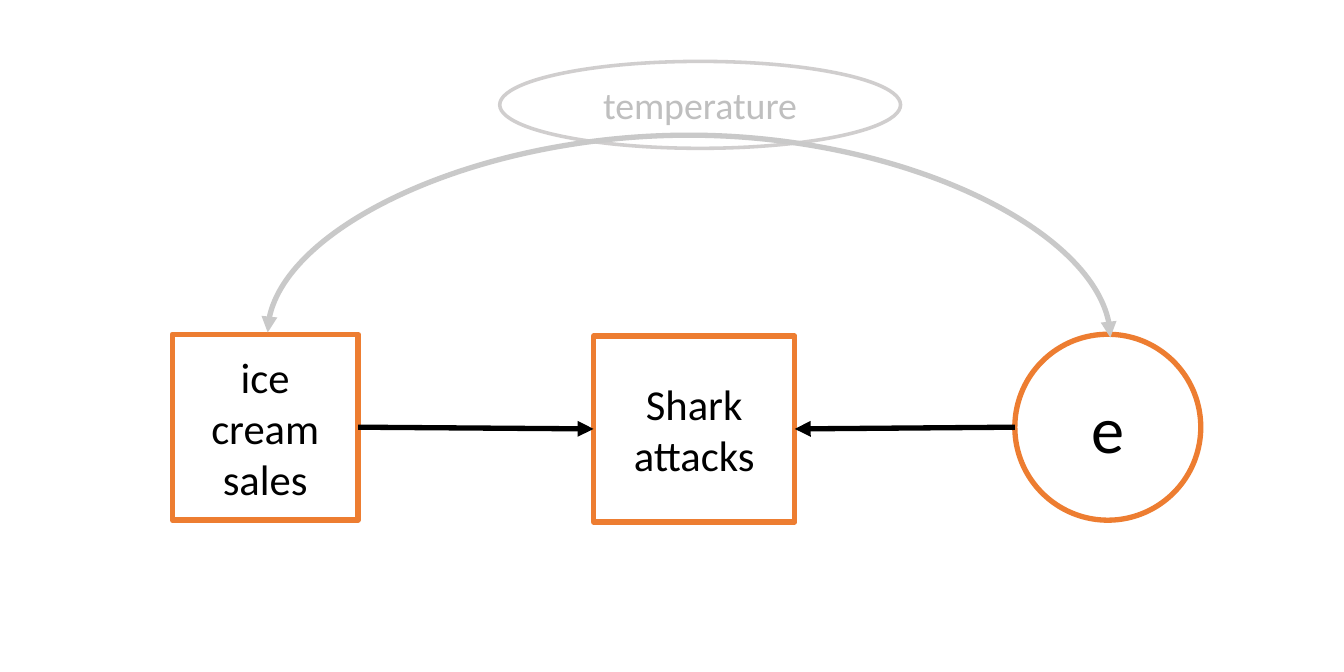
import dataclasses

import lxml.etree
import pptx
import pptx.dml.color
import pptx.enum.shapes
import pptx.enum.text
import pptx.oxml.ns
import pptx.util

Inches = pptx.util.Inches
Shapes = pptx.enum.shapes.MSO_SHAPE
Connectors = pptx.enum.shapes.MSO_CONNECTOR
qn = pptx.oxml.ns.qn


@dataclasses.dataclass(frozen=True)
class Theme:
    """Colours, type sizes and line widths of the diagram."""
    font: str = "Calibri"
    fill: str = "FFFFFF"
    accent: str = "ED7D31"
    ink: str = "000000"
    faded_outline: str = "D0CECE"
    faded_text: str = "BFBFBF"
    faded_arrow: str = "C9C9C9"
    small: int = 16
    body: int = 18
    large: int = 28
    thin: float = 1.5
    thick: float = 2.25


THEME = Theme()


def rgb(value):
    """Turn a hex string into a colour."""
    return pptx.dml.color.RGBColor.from_string(value)


def add_node(slide, kind, box, text, size, color=THEME.ink,
             outline=THEME.accent, width=THEME.thick):
    """Draw one outlined variable with a centred label."""
    shape = slide.shapes.add_shape(kind, *map(Inches, box))
    shape.shadow.inherit = False
    shape.fill.solid()
    shape.fill.fore_color.rgb = rgb(THEME.fill)
    shape.line.color.rgb = rgb(outline)
    shape.line.width = pptx.util.Pt(width)
    frame = shape.text_frame
    frame.text = text
    frame.word_wrap = True
    frame.vertical_anchor = pptx.enum.text.MSO_ANCHOR.MIDDLE
    paragraph = frame.paragraphs[0]
    paragraph.alignment = pptx.enum.text.PP_ALIGN.CENTER
    font = paragraph.runs[0].font
    font.name = THEME.font
    font.size = pptx.util.Pt(size)
    font.color.rgb = rgb(color)
    return shape


def add_arrow(slide, kind, start, end, color, ends=("tailEnd",)):
    """Draw a connector with triangle heads at the named ends."""
    arrow = slide.shapes.add_connector(kind, *map(Inches, start + end))
    arrow.line.color.rgb = rgb(color)
    arrow.line.width = pptx.util.Pt(THEME.thick)
    properties = arrow._element.spPr
    line = properties.find(qn("a:ln"))
    for name in ends:
        lxml.etree.SubElement(line, qn(f"a:{name}"), type="triangle")
    lxml.etree.SubElement(properties, qn("a:effectLst"))
    return arrow


def add_arch(slide, start, end, rise):
    """Draw a two-headed arch that climbs by rise above its right end."""
    span, drop = start[0] - end[0], start[1] - end[1]
    center_x, center_y = (start[0] + end[0]) / 2, (start[1] + end[1]) / 2
    arch = add_arrow(
        slide, Connectors.CURVE,
        (center_x - drop / 2, center_y + span / 2),
        (center_x + drop / 2, center_y - span / 2),
        THEME.faded_arrow, ("headEnd", "tailEnd"))
    properties = arch._element.spPr
    properties.find(qn("a:xfrm")).set("rot", str(270 * 60000))
    geometry = properties.find(qn("a:prstGeom"))
    guides = geometry.find(qn("a:avLst"))
    lxml.etree.SubElement(guides, qn("a:gd"), name="adj1",
                          fmla=f"val {round(rise / drop * 100000)}")


def add_path_diagram(slide, box):
    """Place the variables and the arrows between them in the box."""
    left, top, width, height = box
    side = 1.09
    row = top + height - side - 0.01
    middle = row + side / 2
    attacks_left, attacks_width = left + 2.47, 1.18
    error_left = left + width - side

    add_node(slide, Shapes.OVAL, (left + 1.92, top, 2.35, 0.51), "temperature",
             THEME.small, THEME.faded_text, THEME.faded_outline, THEME.thin)
    attacks = add_node(slide, Shapes.RECTANGLE,
                       (attacks_left, row + 0.01, attacks_width, side),
                       "Shark attacks", THEME.body)
    sales = add_node(slide, Shapes.RECTANGLE, (left, row, side, side),
                     "ice cream sales", THEME.body)
    add_node(slide, Shapes.OVAL, (error_left, row, side, side), "e", THEME.large)

    effect = add_arrow(slide, Connectors.STRAIGHT, (left + side, middle),
                       (attacks_left, middle), THEME.ink)
    effect.begin_connect(sales, 3)
    effect.end_connect(attacks, 1)
    residual = add_arrow(slide, Connectors.STRAIGHT, (error_left, middle),
                         (attacks_left + attacks_width, middle), THEME.ink)
    residual.end_connect(attacks, 3)
    add_arch(slide, (left + 5.5, row + 0.02), (left + 0.56, row - 0.01), 1.19)


def main():
    """Build and save the slide."""
    presentation = pptx.Presentation()
    presentation.slide_width = Inches(7.88)
    presentation.slide_height = Inches(3.94)
    slide = presentation.slides.add_slide(presentation.slide_layouts[6])
    add_path_diagram(slide, (1.01, 0.36, 6.03, 2.7))
    presentation.save("out.pptx")


if __name__ == "__main__":
    main()
